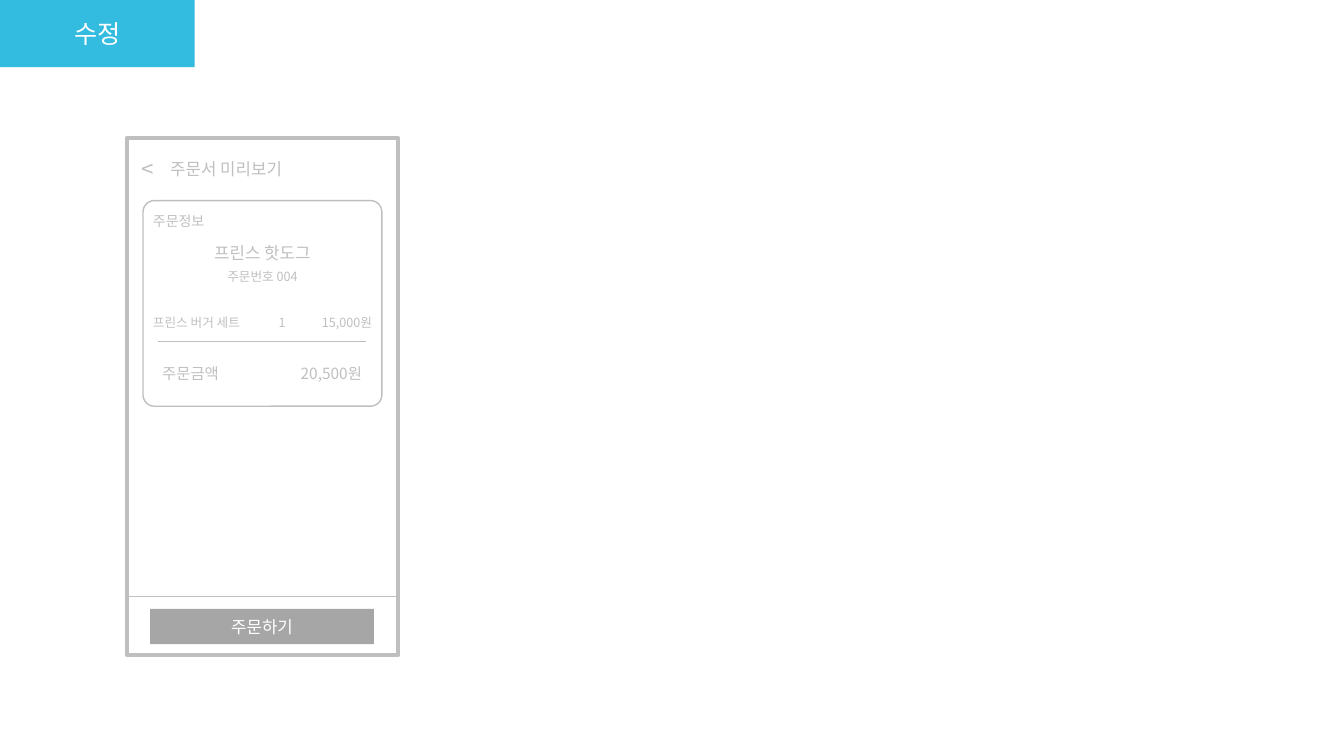
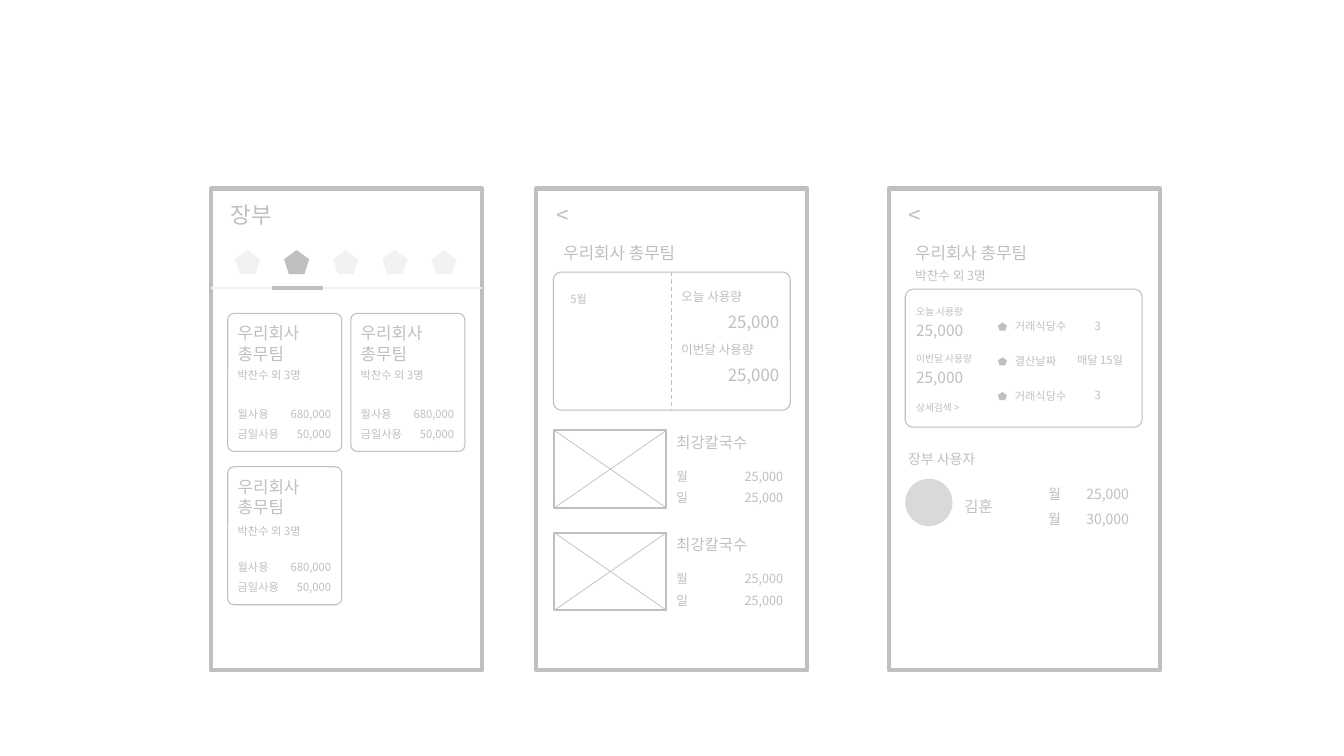
from pptx import Presentation
from pptx.dml.color import RGBColor
from pptx.enum.dml import MSO_LINE
from pptx.enum.shapes import MSO_CONNECTOR, MSO_SHAPE
from pptx.enum.text import MSO_ANCHOR, MSO_AUTO_SIZE, PP_ALIGN
from pptx.oxml.ns import qn
from pptx.util import Pt
from lxml.etree import SubElement

# Shared style
GRAY, PALE, DARK, DISC = "BFBFBF", "F2F2F2", "A6A6A6", "D9D9D9"
WHITE, BLUE = "FFFFFF", "34BBE0"
FACE = "Noto Sans CJK KR"
ROW = 27.4
LEFT, MID, RIGHT = PP_ALIGN.LEFT, PP_ALIGN.CENTER, PP_ALIGN.RIGHT
RECT, ROUND = MSO_SHAPE.RECTANGLE, MSO_SHAPE.ROUNDED_RECTANGLE
PENTA, OVAL = MSO_SHAPE.REGULAR_PENTAGON, MSO_SHAPE.OVAL
FRAME = {
    "word_wrap": True,
    "auto_size": MSO_AUTO_SIZE.NONE,
    "vertical_anchor": MSO_ANCHOR.MIDDLE,
}


def ink(fill, color):
    if color is None:
        fill.background()
    else:
        fill.solid()
        fill.fore_color.rgb = RGBColor.from_string(color)


def write(frame, text, size, align=LEFT, space=1.0, color=GRAY):
    for key, value in FRAME.items():
        setattr(frame, key, value)
    for num, line in enumerate(text.split("\n")):
        para = frame.add_paragraph() if num else frame.paragraphs[0]
        for key, value in {"alignment": align, "line_spacing": space}.items():
            setattr(para, key, value)
        run = para.add_run()
        run.text = line
        for key, value in {"name": FACE, "size": Pt(size), "bold": False}.items():
            setattr(run.font, key, value)
        ink(run.font.fill, color)
        SubElement(run.font._element, qn("a:ea"), typeface=FACE)


# Slide 1: order preview
# title: box, fill, text and its format
head = ((0, 0, 139, 48), BLUE, ("수정", 18, MID, 1, WHITE))
# shapes: kind, x, y, w, h, fill, edge, edge width, then any text
shapes = [
    (RECT, 90.7, 98.6, 193.7, 369.4, None, GRAY, 3),
    (RECT, 90.7, 426.2, 193.7, 41.8, None, GRAY, 1),
    (RECT, 107.3, 434.9, 159.8, 25.2, DARK, None, 0, "주문하기", 12, MID, 1, WHITE),
    (ROUND, 102.2, 143.3, 170.6, 146.9, None, GRAY, 1),
]
# lines: x1, y1, x2, y2, color, width, dash
lines = [(113, 244.1, 261.4, 244.1, GRAY, 1, None)]
# texts: x, middle, w, text, size, align, spacing
texts = [
    (94.3, 120.3, 179, "<", 16),
    (114.5, 120.3, 166, "주문서 미리보기", 12),
    (102.2, 157.7, 170.6, "주문정보", 10),
    (102.2, 180.7, 170.6, "프린스 핫도그", 12, MID),
    (102.2, 197.3, 170.6, "주문번호 004", 9, MID),
    (102.2, 230.4, 85, "프린스 버거 세트", 9),
    (192, 230.4, 24, "1", 9),
    (202.2, 230.4, 70.6, "15,000원", 9, RIGHT),
    (108.7, 266.5, 99, "주문금액", 11),
    (170.7, 266.5, 95, "20,500원", 11, RIGHT),
]
pages = [(head, shapes, lines, texts)]

# Slide 2: ledger list, team and members
head = ((157.7, 139.7, 179, ROW), None, ("장부", 16))
shapes = [(RECT, x, 134.6, 193.7, 344.2, None, GRAY, 3) for x in (150.5, 383, 635)]
lines = [
    (150.5, 205.9, 344.2, 205.9, PALE, 1.5, None),
    (194.4, 205.9, 230.4, 205.9, GRAY, 3, None),
]
texts = []

# Ledger list: tabs and team cards
for tab in range(5):
    shapes.append((PENTA, 167.8 + 35.1 * tab, 178.6, 18, 17.3,
                   GRAY if tab == 1 else PALE, None, 0))
for x, y, drop in ((162.7, 223.9, 43.9), (250.6, 223.9, 43.9), (162.7, 333.4, 46.1)):
    shapes.append((ROUND, x, y, 81.4, 98.6, WHITE, GRAY, 0.75))
    texts += [
        (x, y + 21.3, 81.4, "우리회사\n총무팀", 12),
        (x, y + drop, 81.4, "박찬수 외 3명", 8),
        (x, y + 76.3, 52, "월사용\n금일사용", 8, LEFT, 1.5),
        (x + 29, y + 76.3, 52, "680,000\n50,000", 8, RIGHT, 1.5),
    ]

# Team and members: parts in common
for x, top in ((395.3, 194.4), (646.6, 206.6)):
    shapes.append((ROUND, x, top, 169.2, 98.6, WHITE, GRAY, 0.75))
    texts += [
        (x - 5, 153.4, 179, "<", 16),
        (x, 180.7, 169.2, "우리회사 총무팀", 12),
    ]
for num, label in enumerate(("오늘 사용량", "이번달 사용량")):
    texts += [
        (479.5, 208.8 + 38 * num, 73, label, 9, LEFT, 1.5),
        (486.7, 226.1 + 38 * num, 77, "25,000", 12, RIGHT, 1.5),
        (647.3, 220.3 + 33.9 * num, 73, label, 7, LEFT, 1.5),
        (647.3, 232.6 + 33.9 * num, 77, "25,000", 11, LEFT, 1.5),
    ]

# Team: month and restaurants
lines.append((479.5, 194.4, 479.5, 293, GRAY, 0.75, MSO_LINE.DASH))
texts.append((400.3, 211, 73, "5월", 8, LEFT, 1.5))
for y in (307.4, 380.5):
    shapes.append((RECT, 396, y, 80, 55.4, WHITE, GRAY, 1.5))
    lines += [
        (396, y, 476, y + 55.4, GRAY, 0.5, None),
        (476, y, 396, y + 55.4, GRAY, 0.5, None),
    ]
    texts.append((476, y + 8.6, 73, "최강칼국수", 11))
    for drop, label in ((30.2, "월"), (45.4, "일")):
        texts += [
            (476, y + drop, 38, label, 9, LEFT, 1.5),
            (510.5, y + drop, 56, "25,000", 9, RIGHT, 1.5),
        ]

# Members: facts and user
facts = (("거래식당수", "3", 793.4), ("결산날짜", "매달 15일", 809.3), ("거래식당수", "3", 793.4))
for num, (label, value, edge) in enumerate(facts):
    drop = 24.8 * num
    shapes.append((PENTA, 712.8, 230.4 + drop, 6.5, 5.8, GRAY, None, 0))
    texts += [
        (717.8, 232.9 + drop, 57, label, 8),
        (edge - 56, 232.6 + drop, 56, value, 8, RIGHT),
    ]
shapes.append((OVAL, 646.6, 342, 33.8, 33.8, DISC, None, 0))
texts += [
    (646.6, 196.6, 169.2, "박찬수 외 3명", 9),
    (647.3, 288.7, 77, "상세검색 >", 7, LEFT, 1.5),
    (641.5, 324.7, 73, "장부 사용자", 10, LEFT, 1.5),
    (681.8, 358.6, 73, "김훈", 11, LEFT, 1.5),
    (741.6, 358.6, 34, "월\n월", 10, LEFT, 1.5),
    (749.5, 358.6, 64, "25,000\n30,000", 10, RIGHT, 1.5),
]
pages.append((head, shapes, lines, texts))

# Draw the slides
deck = Presentation()
deck.slide_width, deck.slide_height = Pt(960), Pt(540)
for (area, back, words), shapes, lines, texts in pages:
    slide = deck.slides.add_slide(deck.slide_layouts[5])
    title = slide.shapes.title
    for key, value in zip(("left", "top", "width", "height"), area):
        setattr(title, key, Pt(value))
    ink(title.fill, back)
    write(title.text_frame, *words)

    for kind, x, y, w, h, fill, edge, wide, *words in shapes:
        shape = slide.shapes.add_shape(kind, Pt(x), Pt(y), Pt(w), Pt(h))
        shape.shadow.inherit = False
        ink(shape.fill, fill)
        ink(shape.line.fill, edge)
        if edge:
            shape.line.width = Pt(wide)
        if kind == ROUND:
            shape.adjustments[0] = 0.055
        if words:
            write(shape.text_frame, *words)

    for x1, y1, x2, y2, color, wide, dash in lines:
        line = slide.shapes.add_connector(
            MSO_CONNECTOR.STRAIGHT, Pt(x1), Pt(y1), Pt(x2), Pt(y2))
        ink(line.line.fill, color)
        for key, value in {"width": Pt(wide), "dash_style": dash}.items():
            setattr(line.line, key, value)
        SubElement(line._element.spPr, qn("a:effectLst"))

    for x, mid, w, *words in texts:
        box = slide.shapes.add_textbox(Pt(x), Pt(mid - ROW / 2), Pt(w), Pt(ROW))
        write(box.text_frame, *words)

deck.save("out.pptx")
